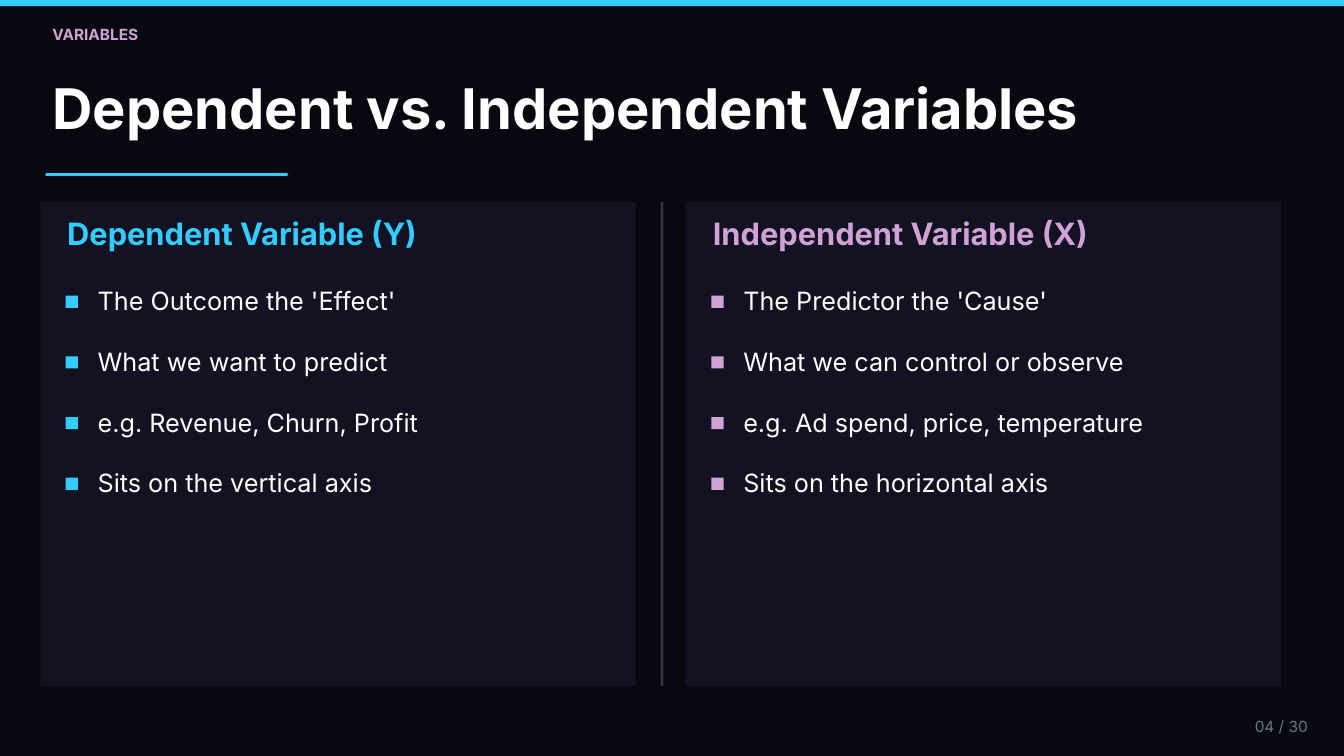
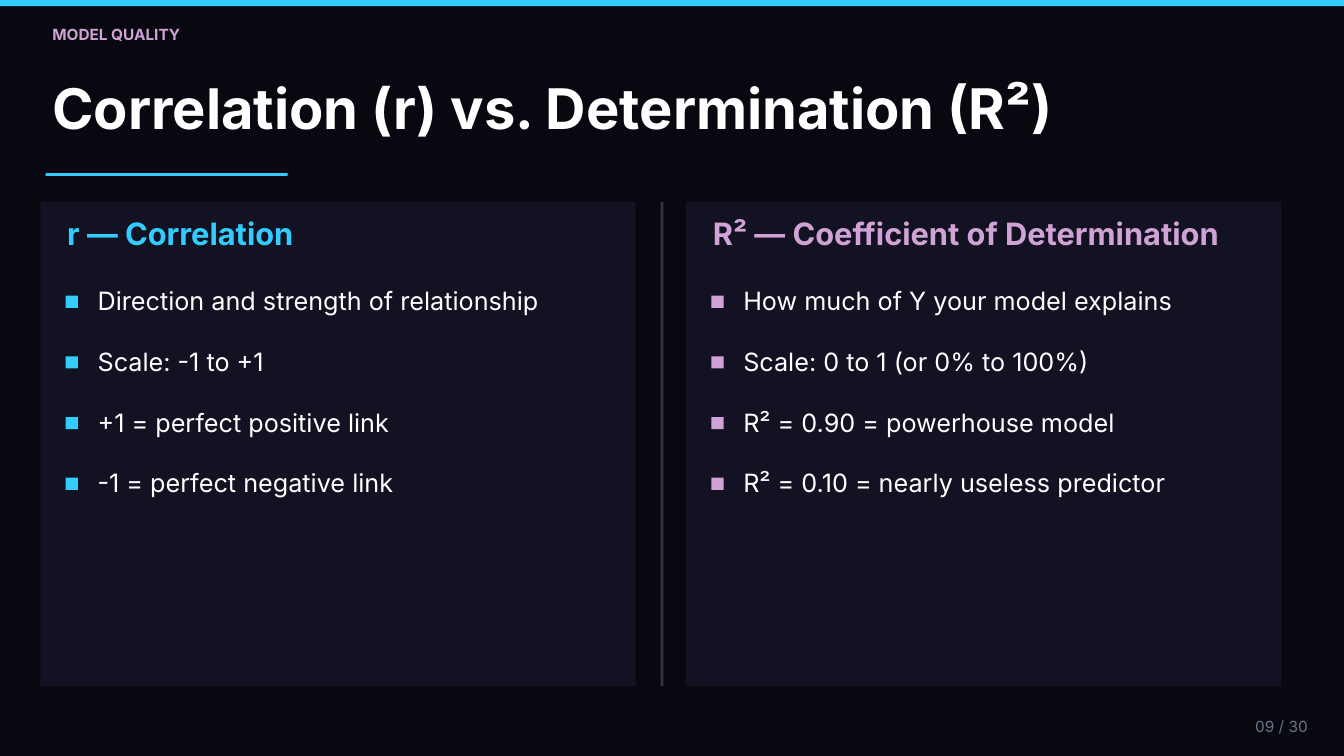
"""Build two comparison slides on regression variables and model quality."""
from dataclasses import dataclass

from pptx import Presentation
from pptx.dml.color import RGBColor
from pptx.enum.shapes import MSO_SHAPE
from pptx.enum.text import MSO_AUTO_SIZE, PP_ALIGN
from pptx.util import Pt


@dataclass(frozen=True)
class Theme:
    font: str = "Inter"
    back: str = "080810"
    panel: str = "121222"
    rule: str = "333344"
    cyan: str = "33CCFF"
    pink: str = "D1A2D6"
    white: str = "FFFFFF"
    gray: str = "667788"
    small: float = 16.5
    body: float = 27
    head: float = 33
    title: float = 60


theme = Theme()


def add_bar(slide, left, top, width, height, color):
    bar = slide.shapes.add_shape(
        MSO_SHAPE.RECTANGLE, Pt(left), Pt(top), Pt(width), Pt(height))
    bar.shadow.inherit = False
    bar.fill.solid()
    bar.fill.fore_color.rgb = RGBColor.from_string(color)
    bar.line.fill.background()


def add_text(slide, text, left, top, width, size, color,
             bold=False, align=PP_ALIGN.LEFT):
    lead = size * 1.2
    box = slide.shapes.add_textbox(Pt(left), Pt(top), Pt(width), Pt(lead))
    frame = box.text_frame
    frame.margin_left = frame.margin_right = 0
    frame.margin_top = frame.margin_bottom = 0
    frame.word_wrap = True
    frame.auto_size = MSO_AUTO_SIZE.SHAPE_TO_FIT_TEXT
    line = frame.paragraphs[0]
    line.text = text
    line.alignment = align
    line.line_spacing = Pt(lead)
    line.font.name = theme.font
    line.font.size = Pt(size)
    line.font.bold = bold
    line.font.color.rgb = RGBColor.from_string(color)


pages = [
    ("VARIABLES", "Dependent vs. Independent Variables", "04 / 30", [
        ("Dependent Variable (Y)", [
            "The Outcome the 'Effect'",
            "What we want to predict",
            "e.g. Revenue, Churn, Profit",
            "Sits on the vertical axis"]),
        ("Independent Variable (X)", [
            "The Predictor the 'Cause'",
            "What we can control or observe",
            "e.g. Ad spend, price, temperature",
            "Sits on the horizontal axis"]),
    ]),
    ("MODEL QUALITY", "Correlation (r) vs. Determination (R²)", "09 / 30", [
        ("r — Correlation", [
            "Direction and strength of relationship",
            "Scale: -1 to +1",
            "+1 = perfect positive link",
            "-1 = perfect negative link"]),
        ("R² — Coefficient of Determination", [
            "How much of Y your model explains",
            "Scale: 0 to 1 (or 0% to 100%)",
            "R² = 0.90 = powerhouse model",
            "R² = 0.10 = nearly useless predictor"]),
    ]),
]

wide, high = 1440, 810
edge, step = 43.2, 691.8
panel_top, panel_wide, panel_high = 216, 637.8, 519
row_top, row_step = 306, 65

deck = Presentation()
deck.slide_width, deck.slide_height = Pt(wide), Pt(high)

for topic, title, number, sides in pages:
    slide = deck.slides.add_slide(deck.slide_layouts[6])
    slide.background.fill.solid()
    slide.background.fill.fore_color.rgb = RGBColor.from_string(theme.back)

    add_bar(slide, 0, 0, wide, 6.5, theme.cyan)
    add_text(slide, topic, 56.2, 26.6, 850, theme.small, theme.pink, bold=True)
    add_text(slide, title, 56.2, 79.2, 1282, theme.title, theme.white, bold=True)
    add_bar(slide, 48.8, 185.5, 259.5, 3, theme.cyan)
    add_bar(slide, 707.8, panel_top, 3, panel_high, theme.rule)

    for col, (head, items) in enumerate(sides):
        left = edge + col * step
        color = (theme.cyan, theme.pink)[col]
        add_bar(slide, left, panel_top, panel_wide, panel_high, theme.panel)
        add_text(slide, head, left + 28.8, 229.7, 580, theme.head, color, bold=True)
        for row, item in enumerate(items):
            top = row_top + row * row_step
            add_bar(slide, left + 27.2, top + 10.8, 13, 13, color)
            add_text(slide, item, left + 61.4, top, 548, theme.body, theme.white)

    add_text(slide, number, 1296.7, 768.2, 104.4, theme.small, theme.gray,
             align=PP_ALIGN.RIGHT)

deck.save("out.pptx")
